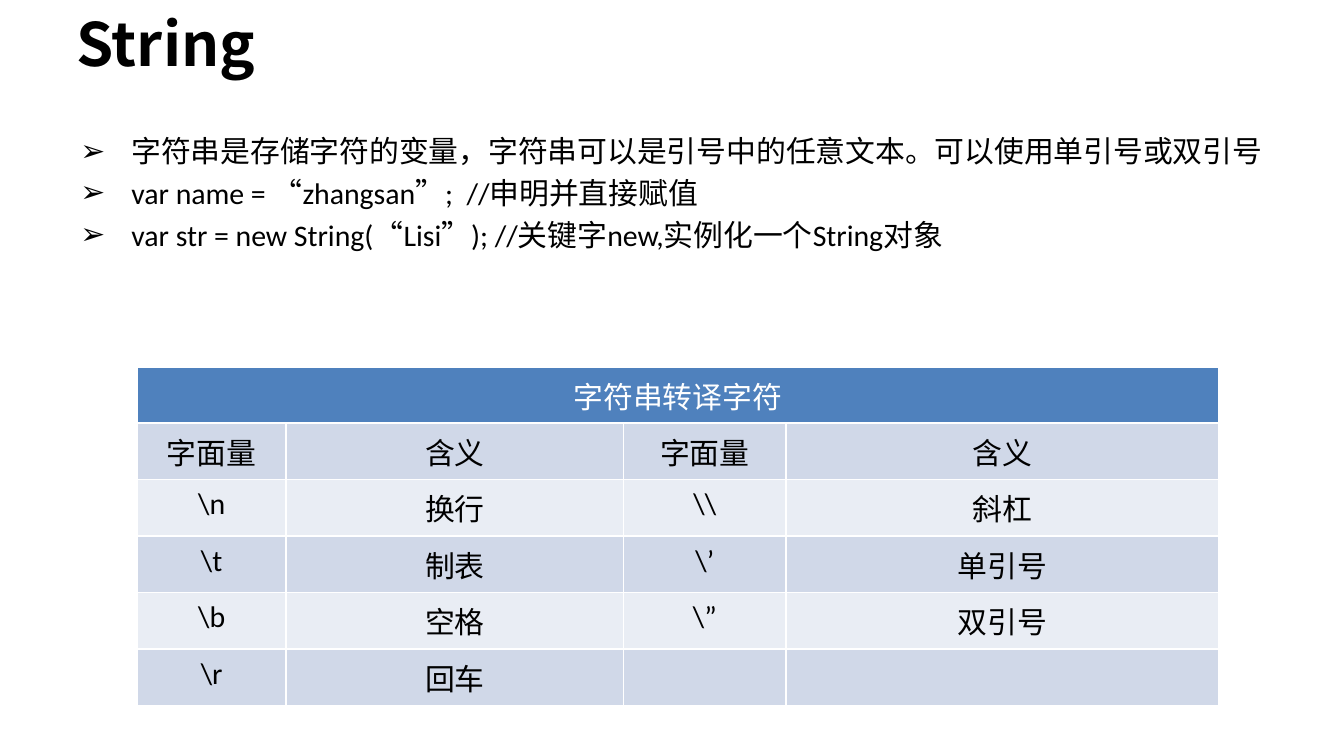
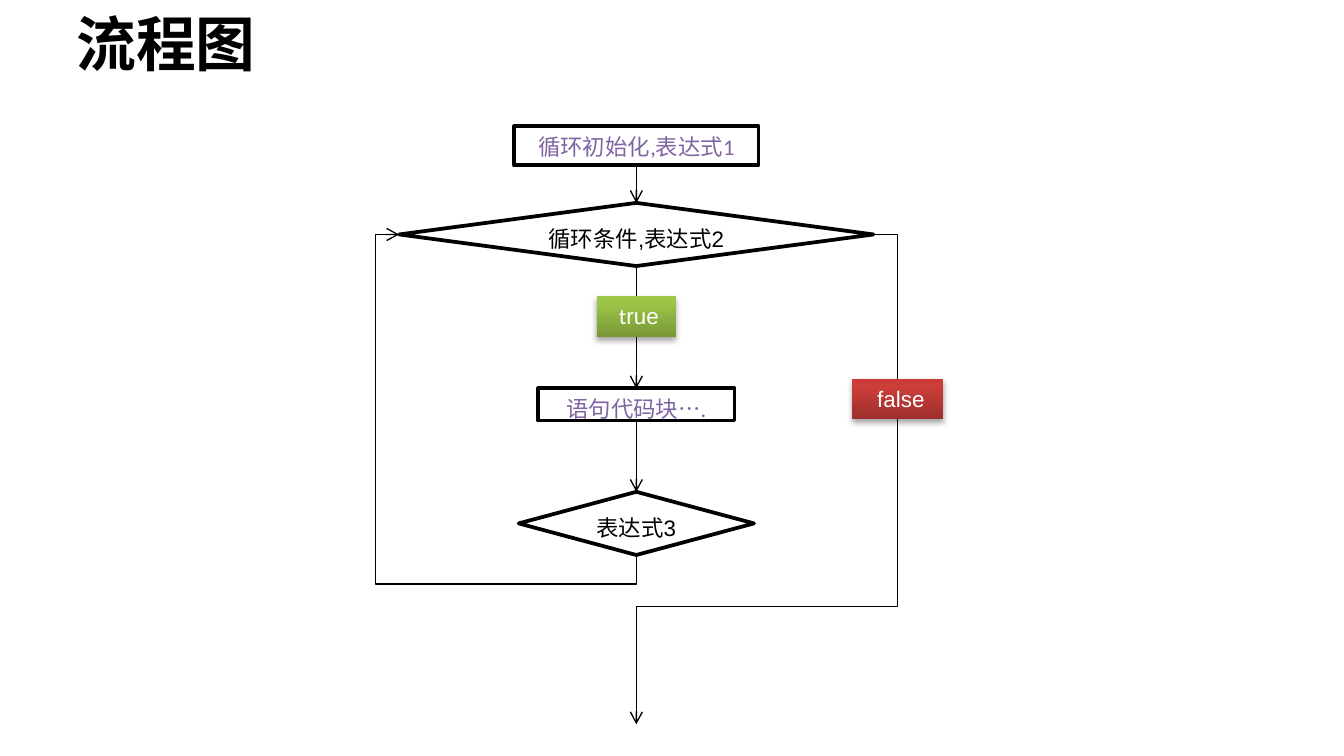
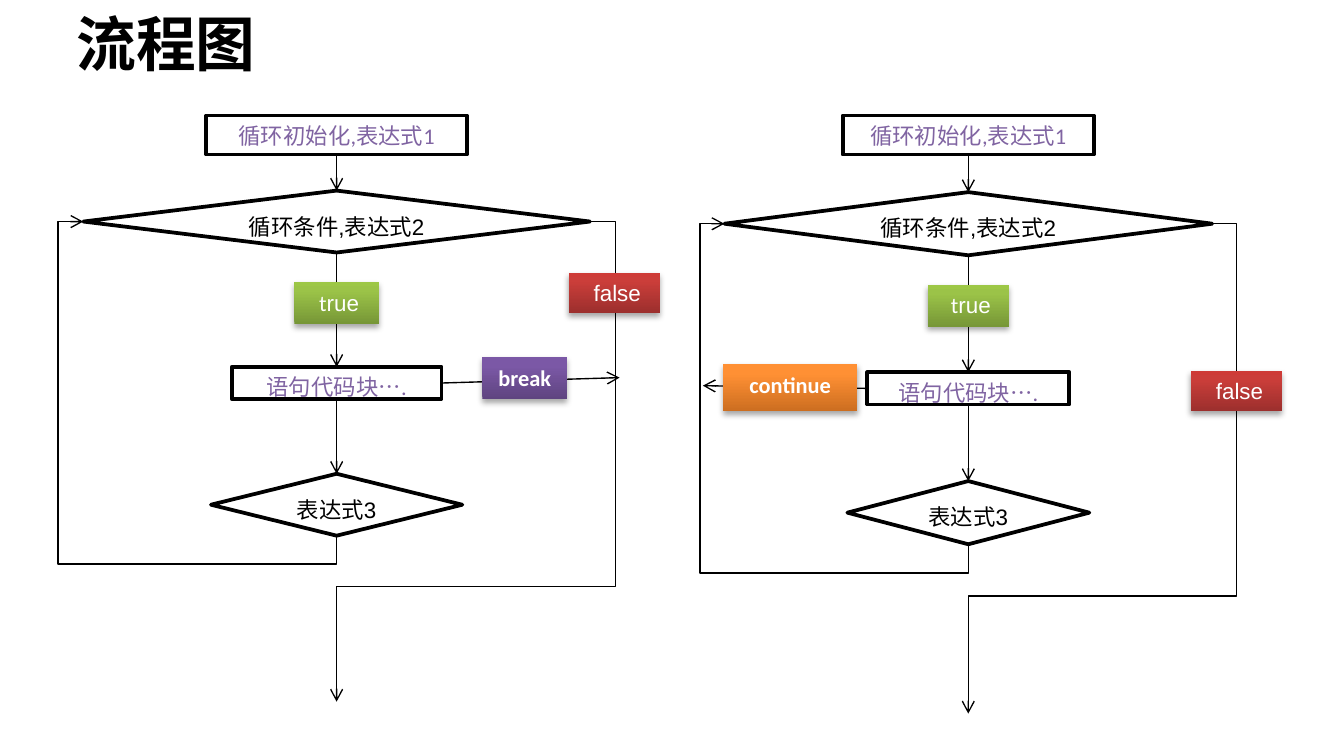
import copy
import pptx
import pptx.dml.color
import pptx.enum.shapes
import pptx.enum.text
import pptx.oxml.ns
import pptx.util
from pptx.util import Inches

RGB = pptx.dml.color.RGBColor
BLACK = RGB(0x00, 0x00, 0x00)
WHITE = RGB(0xFF, 0xFF, 0xFF)
PURPLE = RGB(0x80, 0x64, 0xA2)
HEAD = RGB(0x4F, 0x81, 0xBD)
BANDS = [RGB(0xD0, 0xD8, 0xE8), RGB(0xE9, 0xED, 0xF4)]
GREENS = [RGB(0x77, 0x97, 0x37), RGB(0x9B, 0xC3, 0x48), RGB(0x9D, 0xC7, 0x46)]
REDS = [RGB(0x9C, 0x2F, 0x2D), RGB(0xCB, 0x3E, 0x3A), RGB(0xCE, 0x3B, 0x37)]
VIOLETS = [RGB(0x5F, 0x44, 0x80), RGB(0x7B, 0x58, 0xA6), RGB(0x7C, 0x57, 0xA8)]
ORANGES = [RGB(0xCC, 0x6E, 0x20), RGB(0xFF, 0x90, 0x34), RGB(0xFF, 0x91, 0x36)]
LATIN, SANS, HAN = "Calibri", "Arial", "Noto Sans CJK SC"
KIND = pptx.enum.shapes.MSO_SHAPE
LINK = pptx.enum.shapes.MSO_CONNECTOR
CENTER = pptx.enum.text.PP_ALIGN.CENTER
MIDDLE = pptx.enum.text.MSO_ANCHOR.MIDDLE

NOTES = [
    "字符串是存储字符的变量，字符串可以是引号中的任意文本。可以使用单引号或双引号",
    "var name = “zhangsan”;  //申明并直接赋值",
    "var str = new String(“Lisi”); //关键字new,实例化一个String对象",
]
CODES = [
    ["字符串转译字符", "", "", ""],
    ["字面量", "含义", "字面量", "含义"],
    ["\\n", "换行", "\\\\", "斜杠"],
    ["\\t", "制表", "\\’", "单引号"],
    ["\\b", "空格", "\\”", "双引号"],
    ["\\r", "回车", "", ""],
]
TRUE = [(" t", LATIN), ("rue", SANS)]
FALSE = [(" false", SANS)]


def child(node, tag, **attrs):
    item = node.makeelement(pptx.oxml.ns.qn(tag), attrs)
    node.append(item)
    return item


def style(run, size, color, name, bold=False):
    font = run.font
    font.size, font.name, font.bold = pptx.util.Pt(size), name, bold
    font.color.rgb = color
    child(run._r.get_or_add_rPr(), "a:ea", typeface=HAN)


def write(para, runs, size, color, bold=False):
    for text, name in runs:
        run = para.add_run()
        run.text = text
        style(run, size, color, name, bold)


def text_box(slide, *place):
    frame = slide.shapes.add_textbox(*map(Inches, place)).text_frame
    frame.word_wrap = True
    return frame


def new_slide(deck, title):
    slide = deck.slides.add_slide(deck.slide_layouts[6])
    frame = text_box(slide, 0.47, 0.08, 9, 0.48)
    frame.vertical_anchor = MIDDLE
    write(frame.paragraphs[0], [(title, HAN)], 32, BLACK, True)
    return slide


def bullets(slide, lines):
    frame = text_box(slide, 0.5, 0.94, 9, 4.38)
    frame.text = "\n".join(lines)
    for para in frame.paragraphs:
        para.space_before = pptx.util.Pt(3.2)
        props = para._p.get_or_add_pPr()
        props.set("marL", str(Inches(0.38)))
        props.set("indent", str(-Inches(0.38)))
        child(props, "a:buFont", typeface=SANS)
        child(props, "a:buChar", char="➢")
        style(para.runs[0], 16, BLACK, LATIN)


def grid(slide, rows):
    high = 0.42
    place = map(Inches, (1.02, 2.73, 8.05, high * len(rows)))
    table = slide.shapes.add_table(len(rows), 4, *place).table
    for col, wide in zip(table.columns, (1.11, 2.51, 1.21, 3.22)):
        col.width = Inches(wide)
    for r, row in enumerate(rows):
        table.rows[r].height = Inches(high)
        for c, text in enumerate(row):
            cell = table.cell(r, c)
            cell.fill.solid()
            cell.fill.fore_color.rgb = BANDS[(r + 1) % 2] if r else HEAD
            if text:
                para = cell.text_frame.paragraphs[0]
                para.alignment = CENTER
                write(para, [(text, LATIN)], 16, BLACK if r else WHITE)
    table.cell(0, 0).merge(table.cell(0, 3))


def shape(slide, kind, place, runs, color, bold=False):
    item = slide.shapes.add_shape(kind, *map(Inches, place))
    item.shadow.inherit = False
    frame = item.text_frame
    frame.vertical_anchor = pptx.enum.text.MSO_ANCHOR.TOP
    frame.paragraphs[0].alignment = CENTER
    write(frame.paragraphs[0], runs, 12, color, bold)
    return item


def node(slide, kind, mid, top, wide, tall, text, name, color):
    place = (mid - wide / 2, top, wide, tall)
    item = shape(slide, kind, place, [(text, name)], color)
    item.fill.solid()
    item.fill.fore_color.rgb = WHITE
    item.line.color.rgb = BLACK
    item.line.width = pptx.util.Pt(2)
    return item


def badge(slide, place, runs, colors, bold=False):
    item = shape(slide, KIND.RECTANGLE, place, runs, WHITE, bold)
    item.line.fill.background()
    item.fill.gradient()
    item.fill.gradient_angle = 90
    props = item._element.spPr
    stops = props.find(pptx.oxml.ns.qn("a:gradFill")).find(pptx.oxml.ns.qn("a:gsLst"))
    stops.append(copy.deepcopy(stops[0]))
    for stop, spot, color in zip(item.fill.gradient_stops, (0, 0.8, 1), colors):
        stop.position = spot
        stop.color.rgb = color
    glow = child(props.find(pptx.oxml.ns.qn("a:effectLst")), "a:outerShdw",
                 blurRad="40000", dist="23000", dir="5400000", rotWithShape="0")
    child(child(glow, "a:srgbClr", val="000000"), "a:alpha", val="35000")


def arrow(slide, kind, start, end):
    line = slide.shapes.add_connector(kind, *map(Inches, start + end))
    line.line.color.rgb = BLACK
    line.line.width = pptx.util.Pt(0.75)
    child(line.line._get_or_add_ln(), "a:tailEnd", type="arrow")
    child(line._element.spPr, "a:effectLst")
    return line


def join(slide, first, last):
    line = arrow(slide, LINK.STRAIGHT, (0, 0), (1, 1))
    line.begin_connect(first, 2)
    line.end_connect(last, 0)


def elbow(slide, start, end, bends, turned=False):
    if turned:
        x, y = (start[0] + end[0]) / 2, (start[1] + end[1]) / 2
        across, down = (start[1] - end[1]) / 2, (start[0] - end[0]) / 2
        start, end = (x + across, y - down), (x - across, y + down)
    line = arrow(slide, LINK.ELBOW, start, end)
    props = line._element.spPr
    if turned:
        props.find(pptx.oxml.ns.qn("a:xfrm")).set("rot", "5400000")
    geom = props.find(pptx.oxml.ns.qn("a:prstGeom"))
    geom.set("prst", "bentConnector4")
    for old in list(geom):
        geom.remove(old)
    guides = child(geom, "a:avLst")
    for i, bend in enumerate(bends, 1):
        child(guides, "a:gd", name=f"adj{i}", fmla=f"val {round(bend * 100000)}")


def flow(slide, left, top, wide, scale, yes, body, no):
    mid, right = left + wide / 2, left + wide
    tall = 0.47 * scale
    test_top, last_top = top + 0.57 * scale, top + 2.72 * scale
    turn = test_top + tall / 2
    init = node(slide, KIND.RECTANGLE, mid, top, wide * 0.515, 0.29,
                "循环初始化,表达式1", LATIN, PURPLE)
    test = node(slide, KIND.DIAMOND, mid, test_top, wide, tall,
                "循环条件,表达式2", SANS, BLACK)
    block = node(slide, KIND.RECTANGLE, mid, body, wide * 0.414, 0.24,
                 "语句代码块….", LATIN, PURPLE)
    last = node(slide, KIND.DIAMOND, mid, last_top, wide * 0.496, tall,
                "表达式3", SANS, BLACK)
    for pair in ((init, test), (test, block), (block, last)):
        join(slide, *pair)
    elbow(slide, (right, turn), (mid, top + 4.45 * scale), (-0.1, 0.76))
    elbow(slide, (mid, last_top + tall), (left, turn), (-0.09, 1.1), True)
    badge(slide, (mid - wide / 12, yes, wide / 6, 0.31), TRUE, GREENS)
    badge(slide, (right - 0.16, no, 0.68, 0.3), FALSE, REDS)
    return block


def jump(slide, block, side, end, place, word, colors):
    line = arrow(slide, LINK.STRAIGHT, (0, 0), end)
    line.begin_connect(block, side)
    badge(slide, place, [(word, LATIN)], colors, True)


def main():
    deck = pptx.Presentation()
    deck.slide_width = Inches(10)
    deck.slide_height = Inches(10 * 9 / 16)

    slide = new_slide(deck, "String")
    bullets(slide, NOTES)
    grid(slide, CODES)

    slide = new_slide(deck, "流程图")
    flow(slide, 2.97, 0.94, 3.53, 1, 2.2, 2.89, 2.82)

    slide = new_slide(deck, "流程图")
    block = flow(slide, 0.62, 0.86, 3.77, 0.98, 2.1, 2.73, 2.03)
    jump(slide, block, 3, (4.61, 2.81), (3.59, 2.66, 0.63, 0.31), "break", VIOLETS)
    block = flow(slide, 5.39, 0.86, 3.63, 1, 2.12, 2.77, 2.76)
    jump(slide, block, 1, (5.23, 2.87), (5.38, 2.71, 1, 0.35), "continue", ORANGES)

    deck.save("out.pptx")


if __name__ == "__main__":
    main()
